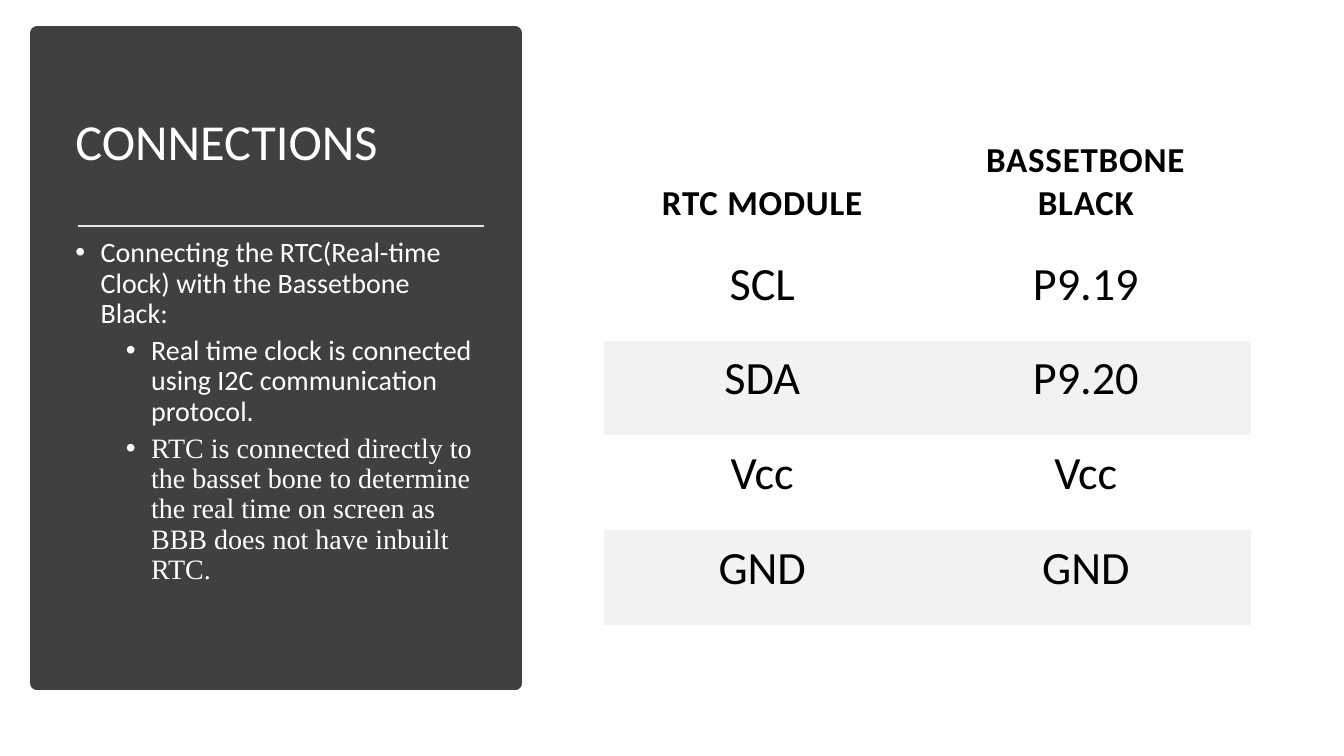
from dataclasses import dataclass

from lxml import etree
from pptx import Presentation
from pptx import util as u
from pptx.dml.color import RGBColor
from pptx.enum import shapes, text
from pptx.oxml.ns import qn


@dataclass(frozen=True)
class Theme:
    """Colours, fonts and type sizes of the slide."""
    panel: str = "404040"
    rule: str = "E7E6E6"
    light: str = "FFFFFF"
    dark: str = "000000"
    band: str = "F2F2F2"
    sans: str = "Calibri"
    serif: str = "Times New Roman"
    title_size: float = 36
    body_size: float = 20
    header_size: float = 25
    cell_size: float = 33


class SlideBuilder:
    """Draws each kind of element on the current slide in one style."""

    def __init__(self, slide, theme):
        self.slide = slide
        self.theme = theme

    def style(self, paragraph, size, color, font=None, bold=False):
        paragraph.font.name = font or self.theme.sans
        paragraph.font.size = u.Pt(size)
        paragraph.font.bold = bold
        paragraph.font.color.rgb = RGBColor.from_string(color)

    def panel(self, left, top, width, height):
        shape = self.slide.shapes.add_shape(
            shapes.MSO_SHAPE.RECTANGLE, *map(u.Inches, (left, top, width, height)))
        shape.shadow.inherit = False
        color = RGBColor.from_string(self.theme.panel)
        shape.fill.solid()
        shape.fill.fore_color.rgb = color
        shape.line.color.rgb = color
        shape.line.width = u.Pt(10)

    def rule(self, left, right, y):
        connector = self.slide.shapes.add_connector(
            shapes.MSO_CONNECTOR.STRAIGHT, *map(u.Inches, (left, y, right, y)))
        connector.line.color.rgb = RGBColor.from_string(self.theme.rule)
        connector.line.width = u.Pt(1.75)
        etree.SubElement(connector._element.spPr, qn("a:effectLst"))

    def text_frame(self, left, top, width, height):
        box = self.slide.shapes.add_textbox(*map(u.Inches, (left, top, width, height)))
        box.text_frame.word_wrap = True
        return box.text_frame

    def title(self, words, *place):
        frame = self.text_frame(*place)
        frame.vertical_anchor = text.MSO_ANCHOR.MIDDLE
        paragraph = frame.paragraphs[0]
        paragraph.text = words
        paragraph.line_spacing = 0.9
        self.style(paragraph, self.theme.title_size, self.theme.light)

    def bullets(self, items, *place):
        frame = self.text_frame(*place)
        for index, (level, words, font) in enumerate(items):
            paragraph = frame.add_paragraph() if index else frame.paragraphs[0]
            paragraph.text = words
            paragraph.level = level
            paragraph.line_spacing = 0.9
            paragraph.space_before = u.Pt(5 if level else 10)
            self.style(paragraph, self.theme.body_size, self.theme.light, font)
            properties = paragraph._p.get_or_add_pPr()
            properties.set("marL", str(u.Inches(0.25 + 0.5 * level)))
            properties.set("indent", str(u.Inches(-0.25)))
            bullet_font = etree.Element(qn("a:buFont"), typeface="Arial")
            bullet = etree.Element(qn("a:buChar"), char="•")
            properties.find(qn("a:spcBef")).addnext(bullet_font)
            bullet_font.addnext(bullet)

    def table(self, rows, left, top, widths, heights):
        place = map(u.Inches, (left, top, sum(widths), sum(heights)))
        table = self.slide.shapes.add_table(len(rows), len(widths), *place).table
        table.horz_banding = False
        no_style = "{2D5ABB26-0587-4C30-8999-92F81FD0307C}"
        table._tbl.tblPr.find(qn("a:tableStyleId")).text = no_style
        for column, width in zip(table.columns, widths):
            column.width = u.Inches(width)
        for index, (row, height, values) in enumerate(zip(table.rows, heights, rows)):
            row.height = u.Inches(height)
            for cell, words in zip(row.cells, values):
                self.cell(cell, words, index)

    def cell(self, cell, words, row):
        header = row == 0
        cell.margin_left = cell.margin_right = cell.margin_bottom = u.Inches(0.21)
        cell.margin_top = u.Inches(0.21 if header else 0.1)
        cell.vertical_anchor = text.MSO_ANCHOR.BOTTOM if header else text.MSO_ANCHOR.TOP
        if row and row % 2 == 0:
            cell.fill.solid()
            cell.fill.fore_color.rgb = RGBColor.from_string(self.theme.band)
        else:
            cell.fill.background()
        paragraph = cell.text_frame.paragraphs[0]
        paragraph.text = words
        paragraph.alignment = text.PP_ALIGN.CENTER
        size = self.theme.header_size if header else self.theme.cell_size
        self.style(paragraph, size, self.theme.dark, bold=header)
        if header:
            paragraph.runs[0]._r.get_or_add_rPr().set("spc", "60")


def main():
    presentation = Presentation()
    presentation.slide_width = u.Inches(13.33)
    presentation.slide_height = u.Inches(7.5)
    theme = Theme()
    slide = presentation.slides.add_slide(presentation.slide_layouts[6])
    builder = SlideBuilder(slide, theme)

    builder.panel(0.37, 0.33, 4.74, 6.45)
    builder.title("CONNECTIONS", 0.65, 0.7, 4.18, 1.47)
    builder.rule(0.77, 4.8, 2.24)
    builder.bullets([
        (0, "Connecting the RTC(Real-time Clock) with the Bassetbone Black:", theme.sans),
        (1, "Real time clock is connected using I2C communication protocol.", theme.sans),
        (1, "RTC is connected directly to the basset bone to determine the real time "
            "on screen as BBB does not have inbuilt RTC.", theme.serif),
    ], 0.65, 2.32, 4.18, 4.13)
    builder.table([
        ("RTC MODULE", "BASSETBONE BLACK"),
        ("SCL", "P9.19"),
        ("SDA", "P9.20"),
        ("Vcc", "Vcc"),
        ("GND", "GND"),
    ], 5.99, 1.12, (3.14, 3.28), [1.32] + [0.94] * 4)

    presentation.save("out.pptx")


if __name__ == "__main__":
    main()
